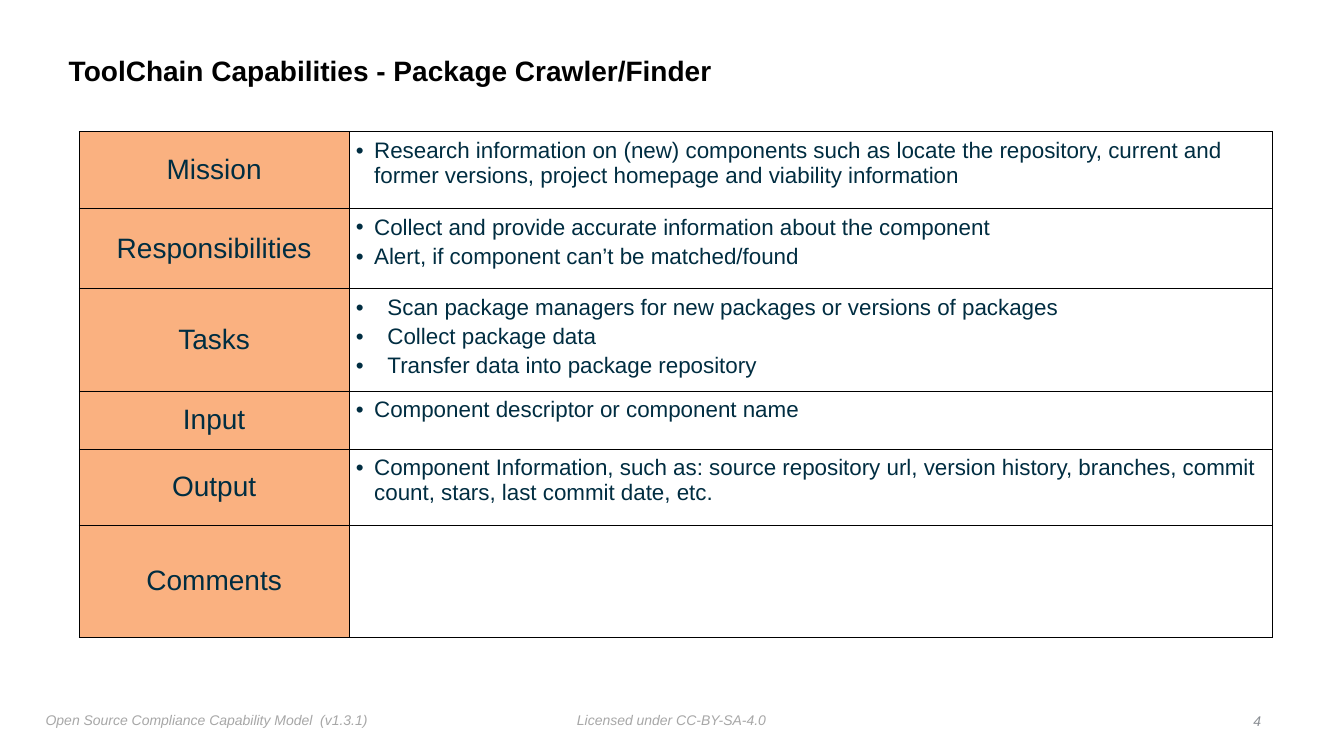
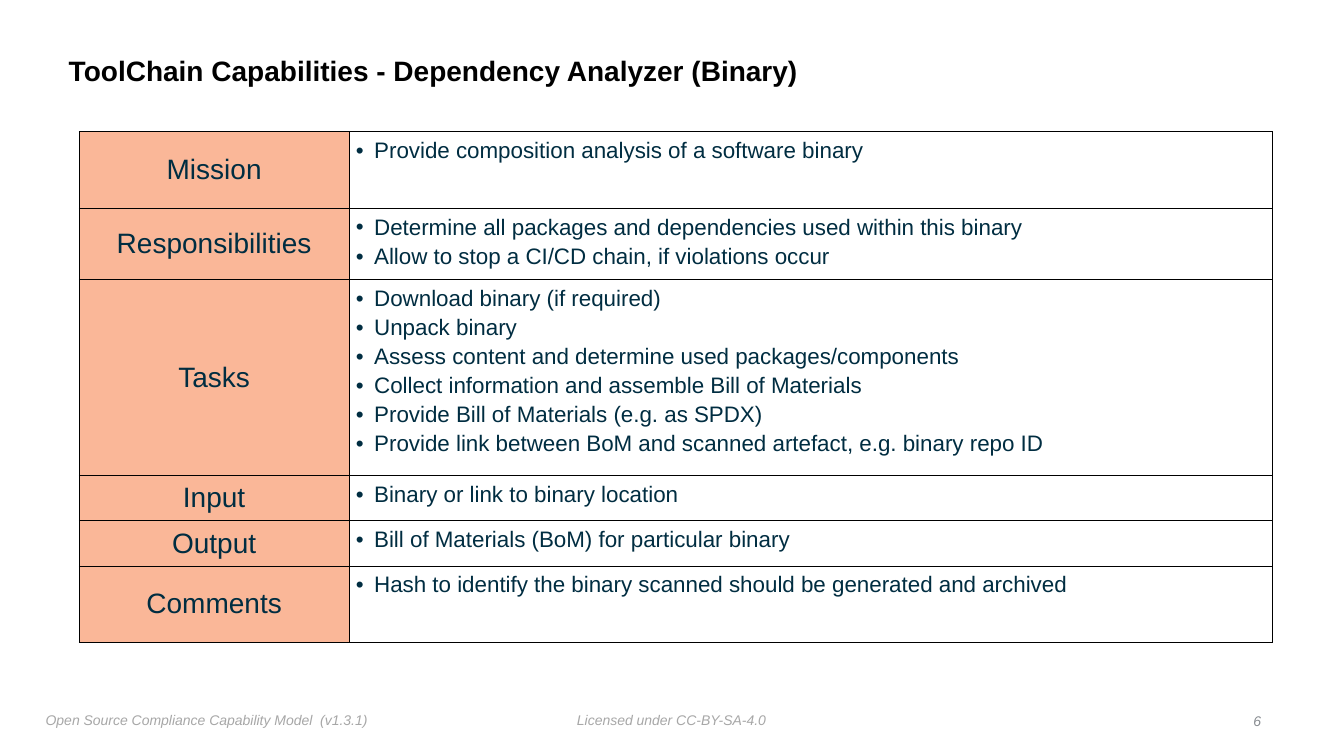
from lxml import etree
from pptx import Presentation
from pptx.dml.color import RGBColor
from pptx.enum.text import MSO_ANCHOR, PP_ALIGN
from pptx.oxml.ns import qn
from pptx.util import Pt

LEFT, CENTER, RIGHT = PP_ALIGN.LEFT, PP_ALIGN.CENTER, PP_ALIGN.RIGHT
TOP, MIDDLE = MSO_ANCHOR.TOP, MSO_ANCHOR.MIDDLE

BLACK = RGBColor(0x00, 0x00, 0x00)
NAVY = RGBColor(0x00, 0x2D, 0x41)
ORANGE = RGBColor(0xF6, 0x65, 0x03)
PEACH = RGBColor(0xFA, 0xB7, 0x98)
FOOTER_GRAY = RGBColor(0xA7, 0xA7, 0xA7)
NUMBER_GRAY = RGBColor(0x88, 0x8C, 0x91)

FONT = "Arial"
LABELS = ("Mission", "Responsibilities", "Tasks", "Input", "Output", "Comments")
COLUMN_WIDTHS = (193, 659.5)
NARROW_INDENT, WIDE_INDENT = 13, 22.5


def set_font(paragraph, size, color, bold=False, italic=False):
    font = paragraph.font
    font.name = FONT
    font.size = Pt(size)
    font.bold = bold
    font.italic = italic
    font.color.rgb = color


def set_margins(target, margin):
    """Give a text frame or a table cell the same margin on all sides."""
    target.margin_left = target.margin_right = Pt(margin)
    target.margin_top = target.margin_bottom = Pt(margin)


def add_bullet(paragraph, indent):
    properties = paragraph._p.get_or_add_pPr()
    properties.set("marL", str(Pt(indent)))
    properties.set("indent", str(-Pt(indent)))
    etree.SubElement(properties, qn("a:buFont"), typeface=FONT)
    etree.SubElement(properties, qn("a:buChar"), char="•")


def add_borders(cell):
    """Draw thin black lines on all sides; they must precede the fill."""
    properties = cell._tc.get_or_add_tcPr()
    for position, side in enumerate(("lnL", "lnR", "lnT", "lnB")):
        line = etree.Element(qn(f"a:{side}"), w=str(Pt(0.5)))
        fill = etree.SubElement(line, qn("a:solidFill"))
        etree.SubElement(fill, qn("a:srgbClr"), val=str(BLACK))
        properties.insert(position, line)


def set_opacity(cell, percent):
    color = cell._tc.tcPr.find(qn("a:solidFill")).find(qn("a:srgbClr"))
    etree.SubElement(color, qn("a:alpha"), val=str(percent * 1000))


class Deck:
    def __init__(self):
        self.presentation = Presentation()
        self.presentation.slide_width = Pt(960)
        self.presentation.slide_height = Pt(540)
        self.slide = None

    def add_slide(self, title, number):
        layout = self.presentation.slide_layouts[6]
        self.slide = self.presentation.slides.add_slide(layout)
        self.add_footer("Licensed under CC-BY-SA-4.0", 408.5, 143)
        self.add_footer("Open Source Compliance Capability Model  (v1.3.1)", 29, 242)
        paragraph = self.add_text(title, 45.5, 28, 774, 47, anchor=MIDDLE, wrap=True)
        paragraph.line_spacing = 0.9
        set_font(paragraph, 20, BLACK, bold=True)
        paragraph = self.add_text(str(number), 890.5, 506, 14, 18, RIGHT, MIDDLE)
        set_font(paragraph, 10, NUMBER_GRAY, italic=True)

    def add_text(self, text, left, top, width, height,
                 alignment=LEFT, anchor=TOP, wrap=False):
        box = self.slide.shapes.add_textbox(Pt(left), Pt(top), Pt(width), Pt(height))
        frame = box.text_frame
        frame.word_wrap = wrap
        frame.vertical_anchor = anchor
        set_margins(frame, 3.6)
        paragraph = frame.paragraphs[0]
        paragraph.text = text
        paragraph.alignment = alignment
        return paragraph

    def add_footer(self, text, left, width):
        paragraph = self.add_text(text, left, 505, width, 18)
        set_font(paragraph, 10, FOOTER_GRAY, italic=True)

    def add_capability_table(self, contents, heights, label_color, opacity=100,
                             wide_rows=()):
        """Build label and bullet columns; wide_rows names labels with wide indents."""
        table = self.slide.shapes.add_table(
            len(LABELS), len(COLUMN_WIDTHS), Pt(56.5), Pt(94),
            Pt(sum(COLUMN_WIDTHS)), Pt(sum(heights))).table
        table.first_row = table.horz_banding = False
        for column, width in zip(table.columns, COLUMN_WIDTHS):
            column.width = Pt(width)
        for row, height, label, bullets in zip(table.rows, heights, LABELS, contents):
            row.height = Pt(height)
            label_cell, bullet_cell = row.cells
            self.fill_label(label_cell, label, label_color, opacity)
            indent = WIDE_INDENT if label in wide_rows else NARROW_INDENT
            self.fill_bullets(bullet_cell, bullets, indent)

    def fill_label(self, cell, label, color, opacity):
        set_margins(cell, 0)
        cell.vertical_anchor = MIDDLE
        cell.fill.solid()
        cell.fill.fore_color.rgb = color
        if opacity < 100:
            set_opacity(cell, opacity)
        add_borders(cell)
        paragraph = cell.text_frame.paragraphs[0]
        paragraph.text = label
        paragraph.alignment = CENTER
        set_font(paragraph, 20, NAVY)

    def fill_bullets(self, cell, bullets, indent):
        set_margins(cell, 4.8)
        cell.fill.background()
        add_borders(cell)
        frame = cell.text_frame
        for index, bullet in enumerate(bullets):
            paragraph = frame.add_paragraph() if index else frame.paragraphs[0]
            paragraph.text = bullet
            add_bullet(paragraph, indent)
            if index:
                paragraph.space_before = Pt(3)
            set_font(paragraph, 16, NAVY)


def main():
    deck = Deck()

    deck.add_slide("ToolChain Capabilities - Package Crawler/Finder", 4)
    deck.add_capability_table(
        (
            ("Research information on (new) components such as locate the repository, "
             "current and former versions, project homepage and viability information",),
            ("Collect and provide accurate information about the component",
             "Alert, if component can’t be matched/found"),
            ("Scan package managers for new packages or versions of packages",
             "Collect package data",
             "Transfer data into package repository"),
            ("Component descriptor or component name",),
            ("Component Information, such as: source repository url, version history, "
             "branches, commit count, stars, last commit date, etc.",),
            (),
        ),
        (54.7, 57.4, 69.3, 41.5, 54.5, 79.8), ORANGE, opacity=50, wide_rows=("Tasks",))

    deck.add_slide("ToolChain Capabilities - Dependency Analyzer (Binary)", 6)
    deck.add_capability_table(
        (
            ("Provide composition analysis of a software binary",),
            ("Determine all packages and dependencies used within this binary",
             "Allow to stop a CI/CD chain, if violations occur"),
            ("Download binary (if required)",
             "Unpack binary",
             "Assess content and determine used packages/components",
             "Collect information and assemble Bill of Materials",
             "Provide Bill of Materials (e.g. as SPDX)",
             "Provide link between BoM and scanned artefact, e.g. binary repo ID"),
            ("Binary or link to binary location",),
            ("Bill of Materials (BoM) for particular binary",),
            ("Hash to identify the binary scanned should be generated and archived",),
        ),
        (54.7, 48.4, 131.5, 32.4, 32.4, 54.7), PEACH)

    deck.presentation.save("out.pptx")


if __name__ == "__main__":
    main()
